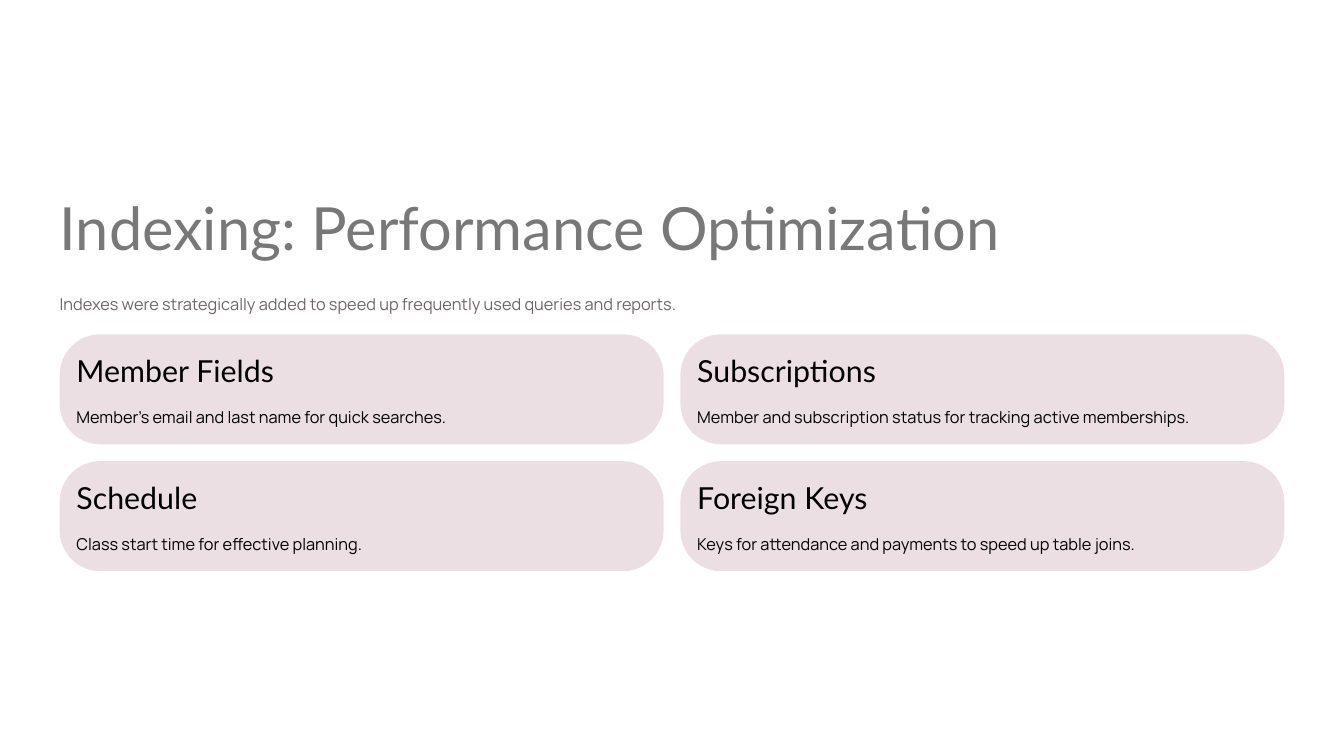
import pptx
import pptx.util
import pptx.dml.color
import pptx.enum.shapes
import pptx.enum.text

Inches = pptx.util.Inches
Pt = pptx.util.Pt

LEFT, TOP = 0.71, 3.98
WIDE, HIGH = 7.19, 1.31
GAP = 0.2

CARDS = [
    ("Member Fields", "Member's email and last name for quick searches."),
    ("Subscriptions", "Member and subscription status for tracking active memberships."),
    ("Schedule", "Class start time for effective planning."),
    ("Foreign Keys", "Keys for attendance and payments to speed up table joins."),
]


def color(code):
    return pptx.dml.color.RGBColor.from_string(code)


def place(shape, x, y, w, h):
    shape.left, shape.top = Inches(x), Inches(y)
    shape.width, shape.height = Inches(w), Inches(h)


def write(shape, text, size, face, ink, line):
    frame = shape.text_frame
    frame.text = text
    frame.word_wrap = True
    frame.auto_size = pptx.enum.text.MSO_AUTO_SIZE.NONE
    frame.vertical_anchor = pptx.enum.text.MSO_ANCHOR.TOP
    frame.margin_left = frame.margin_right = 0
    frame.margin_top = frame.margin_bottom = 0
    para = frame.paragraphs[0]
    para.alignment = pptx.enum.text.PP_ALIGN.LEFT
    para.line_spacing = Pt(line)
    para.font.size = Pt(size)
    para.font.name = face
    para.font.color.rgb = color(ink)


def label(slide, text, box, *style):
    shape = slide.shapes.add_textbox(*map(Inches, box))
    write(shape, text, *style)


def card(slide, x, y, head, note):
    kind = pptx.enum.shapes.MSO_SHAPE.ROUNDED_RECTANGLE
    panel = slide.shapes.add_shape(kind, *map(Inches, (x, y, WIDE, HIGH)))
    panel.adjustments[0] = 0.37
    panel.shadow.inherit = False
    panel.fill.solid()
    panel.fill.fore_color.rgb = color("ECDFE3")
    panel.line.fill.background()
    inner = WIDE - 2 * GAP
    label(slide, head, (x + GAP, y + GAP, inner, 0.46), 26, "Lato", "000000", 32.5)
    label(slide, note, (x + GAP, y + 0.78, inner, 0.32), 14, "Manrope", "000000", 23)


def main():
    deck = pptx.Presentation()
    deck.slide_width, deck.slide_height = Inches(16), Inches(9)
    slide = deck.slides.add_slide(deck.slide_layouts[5])
    full = 2 * WIDE + GAP

    title = slide.shapes.title
    place(title, LEFT, 2.21, full, 0.91)
    write(title, "Indexing: Performance Optimization", 51, "Lato", "787878", 65.5)
    label(slide, "Indexes were strategically added to speed up frequently used queries and reports.",
          (LEFT, 3.42, full, 0.32), 14, "Manrope", "6E6666", 23)

    for i, (head, note) in enumerate(CARDS):
        row, col = divmod(i, 2)
        card(slide, LEFT + col * (WIDE + GAP), TOP + row * (HIGH + GAP), head, note)

    deck.save("out.pptx")


if __name__ == "__main__":
    main()
